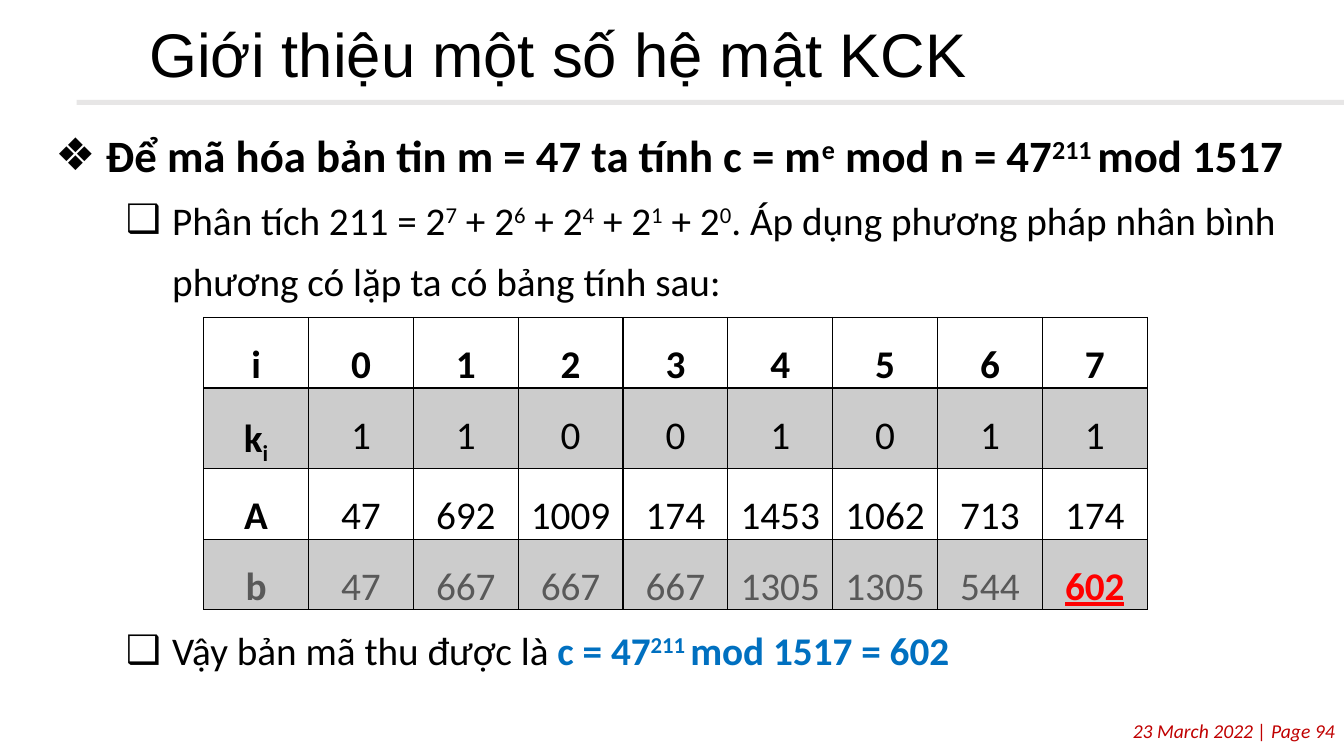
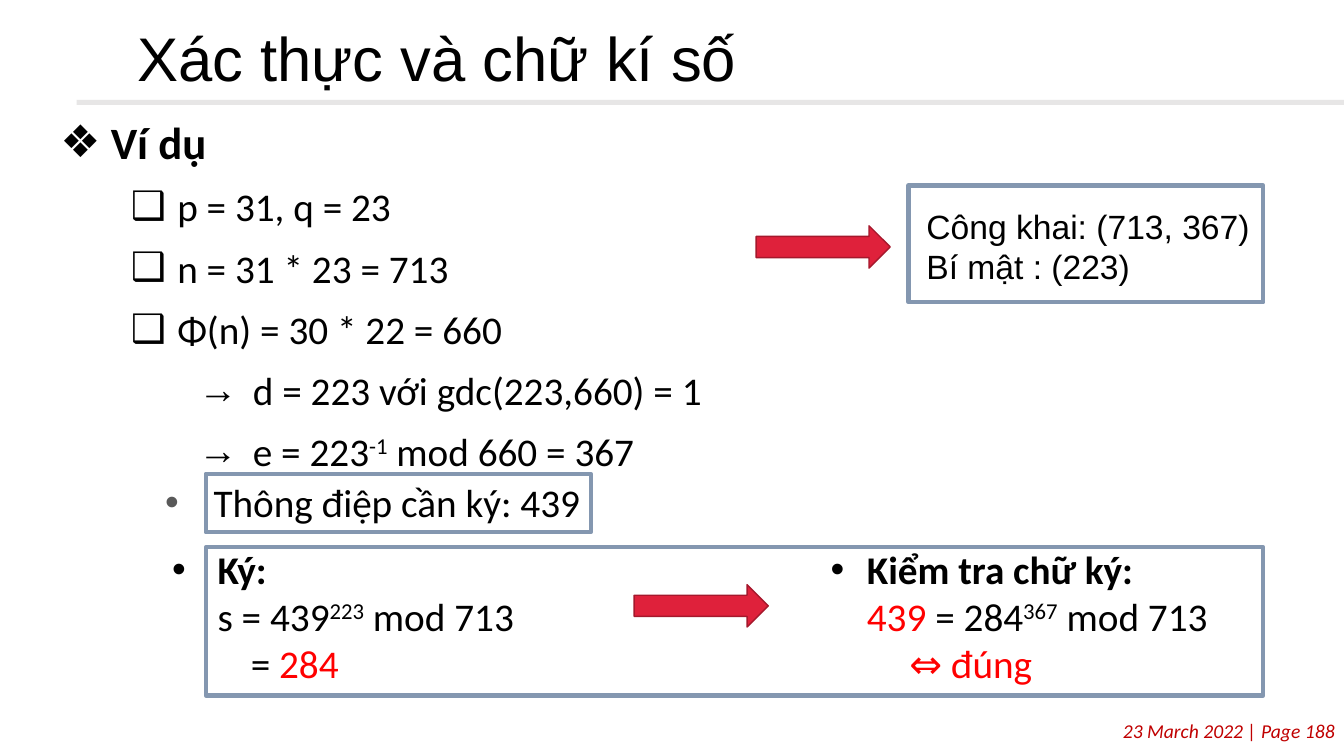
from lxml import etree
from pptx import Presentation
from pptx.dml.color import RGBColor
from pptx.enum.shapes import MSO_SHAPE
from pptx.enum.text import MSO_ANCHOR, MSO_AUTO_SIZE, PP_ALIGN
from pptx.oxml.ns import qn
from pptx.util import Inches, Pt

RECTANGLE, RIGHT_ARROW = MSO_SHAPE.RECTANGLE, MSO_SHAPE.RIGHT_ARROW
LEFT, CENTER, RIGHT = PP_ALIGN.LEFT, PP_ALIGN.CENTER, PP_ALIGN.RIGHT
TITLE_ONLY = 5
COLORS = {
    "black": "000000", "white": "FFFFFF", "rule": "E7E6E6", "footer": "C00000",
    "band": "CCCCCC", "gray": "595959", "red": "FF0000", "blue": "0070C0",
    "arrow": "DF213B", "arrow_line": "A5182C", "frame": "8497B0",
}
BASELINES = {"sup": "30000", "sub": "-25000"}
BODY, HEADING = "Calibri", "Arial"

# Paragraph kinds: bullet, left margin, first-line indent, size, further format
KINDS = {
    "topic": dict(bullet="❖", margin=0.67, indent=-0.5, size=32, bold=True, spacing=1.3),
    "point": dict(bullet="❑", margin=1.33, indent=-0.46, spacing=1.3),
    "result": dict(bullet="→", margin=2.08, indent=-0.54, spacing=1.3),
    "message": dict(bullet="•", margin=0.48, indent=-0.48, bullet_color="gray"),
    "sign": dict(bullet="•", margin=0.45, indent=-0.45, bold=True),
    "sign_step": dict(margin=0.45),
    "check": dict(bullet="•", margin=0.36, indent=-0.36, bold=True),
    "check_step": dict(margin=0.36),
    "outcome": dict(margin=0.78),
    "key": dict(size=24, font=HEADING),
    "footer": dict(size=14, color="footer", italic=True, align=RIGHT),
    "cell": dict(spacing=1.5, align=CENTER),
    "cell_head": dict(spacing=1.5, align=CENTER, bold=True),
}

# Content: paragraphs are (kind, runs); a run is (text, styles)
FOOTER = "23 March 2022 | Page {}"
ENCRYPTION = [
    ("topic", [("Để mã hóa bản tin m = 47 ta tính c = m", ""), ("e", "sup"),
               (" mod n = 47", ""), ("211 ", "sup"), ("mod 1517", "")]),
    ("point", [("Phân tích 211 = 2", ""), ("7", "sup"), (" + 2", ""), ("6", "sup"),
               (" + 2", ""), ("4", "sup"), (" + 2", ""), ("1", "sup"),
               (" + 2", ""), ("0", "sup"),
               (". Áp dụng phương pháp nhân bình phương có lặp ta có bảng tính sau:", "")]),
]
CIPHERTEXT = [
    ("point", [("Vậy bản mã thu được là ", ""), ("c = 47", "blue bold"),
               ("211 ", "blue bold sup"), ("mod 1517 = 602", "blue bold")]),
]
POWER_TABLE = [
    [[("i", "")], 0, 1, 2, 3, 4, 5, 6, 7],
    [[("k", ""), ("i", "sub")], 1, 1, 0, 0, 1, 0, 1, 1],
    [[("A", "")], 47, 692, 1009, 174, 1453, 1062, 713, 174],
    [[("b", "gray")], 47, 667, 667, 667, 1305, 1305, 544,
     [("602", "red bold underline")]],
]
EXAMPLE = [
    ("topic", [("Ví dụ", "")]),
    ("point", [("p = 31, q = 23", "")]),
    ("point", [("n = 31 * 23 = 713", "")]),
    ("point", [("Φ(n) = 30 * 22 = 660", "")]),
    ("result", [("d = 223 với gdc(223,660) = 1", "")]),
    ("result", [("e = 223", ""), ("-1", "sup"), (" mod 660 = 367", "")]),
]
KEYS = [("key", [("Công khai: (713, 367)", "")]), ("key", [("Bí mật : (223)", "")])]
MESSAGE = [("message", [("Thông điệp cần ký: 439", "")])]
SIGNING = [
    ("sign", [("Ký:", "")]),
    ("sign_step", [("s = 439", ""), ("223", "sup"), (" mod 713", "")]),
    ("outcome", [("= ", ""), ("284", "red")]),
]
CHECKING = [
    ("check", [("Kiểm tra chữ ký:", "")]),
    ("check_step", [("439 ", "red"), ("= 284", ""), ("367", "sup"), (" mod 713", "")]),
    ("outcome", [("⇔ đúng", "red")]),
]
# Places: left, top, width, height
ARROWS = [(7.5, 2.24, 1.33, 0.42), (6.29, 5.8, 1.33, 0.42)]
FRAMES = [(9.01, 1.84, 3.52, 1.16), (2.04, 4.7, 3.82, 0.58), (2.04, 5.43, 10.49, 1.47)]


def rgb(name):
    return RGBColor.from_string(COLORS[name])


def inches(place):
    return [Inches(value) for value in place]


def write_paragraph(paragraph, runs, font=BODY, size=28, color="black", bold=False,
                    italic=False, align=LEFT, spacing=None, margin=0, indent=0,
                    bullet=None, bullet_color=None):
    paragraph.alignment = align
    if spacing:
        paragraph.line_spacing = spacing
    properties = paragraph._p.get_or_add_pPr()
    properties.set("marL", str(Inches(margin)))
    properties.set("indent", str(Inches(indent)))
    if bullet_color:
        holder = etree.SubElement(properties, qn("a:buClr"))
        etree.SubElement(holder, qn("a:srgbClr"), val=COLORS[bullet_color])
    if bullet:
        etree.SubElement(properties, qn("a:buFont"), typeface=HEADING)
        etree.SubElement(properties, qn("a:buChar"), char=bullet)
    paragraph.font.name, paragraph.font.size = font, Pt(size)
    paragraph.font.bold, paragraph.font.italic = bold, italic
    paragraph.font.color.rgb = rgb(color)
    for text, styles in runs:
        run = paragraph.add_run()
        run.text = text
        for style in styles.split():
            if style in BASELINES:
                run.font._element.set("baseline", BASELINES[style])
            elif style in COLORS:
                run.font.color.rgb = rgb(style)
            else:
                setattr(run.font, style, True)


def add_text(slide, place, content, inset=0.05):
    frame = slide.shapes.add_textbox(*inches(place)).text_frame
    frame.word_wrap = True
    frame.margin_top = frame.margin_bottom = Inches(inset)
    for index, (kind, runs) in enumerate(content):
        paragraph = frame.add_paragraph() if index else frame.paragraphs[0]
        write_paragraph(paragraph, runs, **KINDS[kind])


def add_box(slide, preset, place, fill=None, line=None, width=1):
    shape = slide.shapes.add_shape(preset, *inches(place))
    shape.shadow.inherit = False
    if fill:
        shape.fill.solid()
        shape.fill.fore_color.rgb = rgb(fill)
    else:
        shape.fill.background()
    if line:
        shape.line.color.rgb = rgb(line)
        shape.line.width = Pt(width)
    else:
        shape.line.fill.background()


def add_slide(presentation, title_text, title_place, page):
    """Slide with the shared title style, rule and footer."""
    slide = presentation.slides.add_slide(presentation.slide_layouts[TITLE_ONLY])
    title = slide.shapes.title
    title.left, title.top, title.width, title.height = inches(title_place)
    frame = title.text_frame
    frame.vertical_anchor = MSO_ANCHOR.TOP
    frame.auto_size = MSO_AUTO_SIZE.NONE
    write_paragraph(frame.paragraphs[0], [(title_text, "")],
                    font=HEADING, size=44, spacing=0.9)
    add_box(slide, RECTANGLE, (0.76, 0.99, 12.58, 0.05), fill="rule")
    add_text(slide, (0.05, 7.08, 13.29, 0.34), [("footer", [(FOOTER.format(page), "")])])
    return slide


def set_borders(cell, widths):
    properties = cell._tc.get_or_add_tcPr()
    for side, width in widths.items():
        line = etree.SubElement(properties, qn("a:ln" + side), w=str(Pt(width)))
        fill = etree.SubElement(line, qn("a:solidFill"))
        etree.SubElement(fill, qn("a:srgbClr"), val=COLORS["black"])


def add_power_table(slide, left, top, column_width, row_height):
    rows, columns = len(POWER_TABLE), len(POWER_TABLE[0])
    table = slide.shapes.add_table(
        rows, columns, *inches((left, top, columns * column_width, rows * row_height))).table
    table.first_row = table.horz_banding = False
    for row, values in enumerate(POWER_TABLE):
        last = row == rows - 1
        for column, value in enumerate(values):
            cell = table.cell(row, column)
            cell.margin_left = cell.margin_right = Inches(0.07)
            cell.margin_top = cell.margin_bottom = 0
            set_borders(cell, {"L": 1, "R": 1, "T": 1, "B": 1 if row else 2})
            cell.fill.solid()
            cell.fill.fore_color.rgb = rgb("band" if row % 2 else "white")
            runs = value if isinstance(value, list) else [(str(value), "")]
            kind = "cell" if row and column else "cell_head"
            write_paragraph(cell.text_frame.paragraphs[0], runs,
                            color="gray" if last else "black", **KINDS[kind])


def main():
    presentation = Presentation()
    presentation.slide_width, presentation.slide_height = Inches(13.33), Inches(7.5)

    # Encryption by repeated squaring
    slide = add_slide(presentation, "Giới thiệu một số hệ mật KCK",
                      (1.38, 0.19, 11.88, 0.78), 94)
    add_text(slide, (0.28, 1.01, 12.78, 2.1), ENCRYPTION, inset=0.1)
    add_power_table(slide, 2.02, 3.15, 1.04, 0.65)
    add_text(slide, (0.28, 5.97, 12.78, 0.82), CIPHERTEXT, inset=0.1)

    # Digital signature example
    slide = add_slide(presentation, "Xác thực và chữ kí số",
                      (1.26, 0.23, 11.74, 1.03), 188)
    add_text(slide, (0.33, 0.88, 7.42, 3.84), EXAMPLE, inset=0.1)
    add_text(slide, (9.09, 1.99, 3.86, 0.91), KEYS)
    add_text(slide, (1.54, 4.7, 6, 0.57), MESSAGE)
    add_text(slide, (1.61, 5.36, 4.96, 1.5), SIGNING)
    add_text(slide, (8.14, 5.36, 4.82, 1.5), CHECKING)
    for place in ARROWS:
        add_box(slide, RIGHT_ARROW, place, fill="arrow", line="arrow_line")
    for place in FRAMES:
        add_box(slide, RECTANGLE, place, line="frame", width=3)

    presentation.save("out.pptx")


if __name__ == "__main__":
    main()
